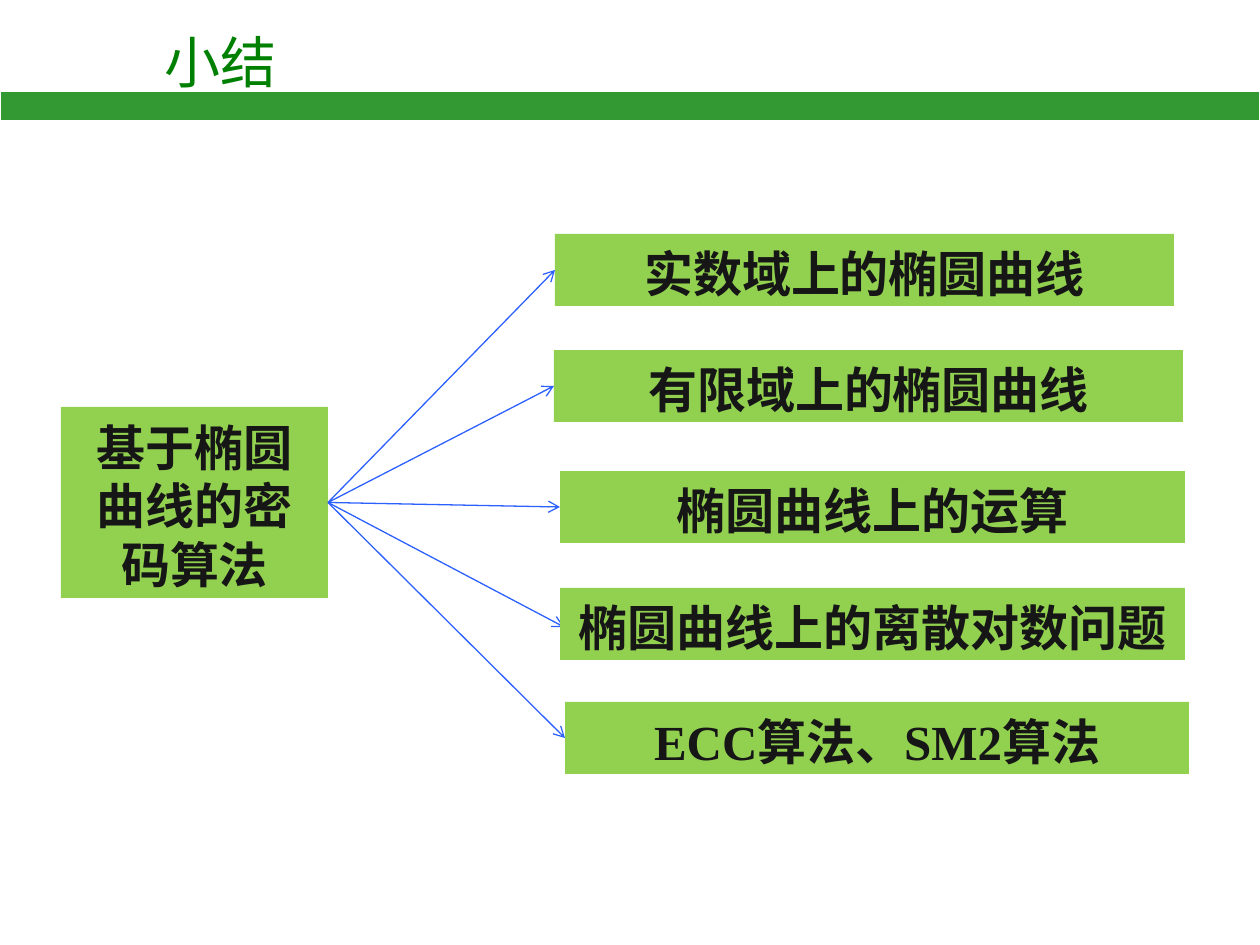
from lxml.etree import SubElement
from pptx import Presentation
from pptx.dml.color import RGBColor
from pptx.enum.shapes import MSO_CONNECTOR as Line, MSO_SHAPE as Shape
from pptx.enum.text import MSO_ANCHOR as Anchor, MSO_AUTO_SIZE as AutoSize, PP_ALIGN as Align
from pptx.oxml.ns import qn
from pptx.util import Pt

PX = 914400 / 126
CJK, LATIN = "Noto Sans CJK SC", "Times New Roman"
COLORS = {"title": "008000", "bar": "339933", "bar_edge": "FFFFFF",
          "box": "92D050", "text": "161616", "arrow": "2D61FE"}
TOPIC_HEIGHT = 72
RIGHT_SIDE, LEFT_SIDE = 3, 1


def px(*lengths):
    """Turn pixel lengths into EMU."""
    return [round(length * PX) for length in lengths]


def color(part):
    """Look up the colour of a part of the slide."""
    return RGBColor.from_string(COLORS[part])


def write(frame, text, size, part, align, latin=CJK, bold=False):
    """Put one formatted run into a text frame."""
    frame.word_wrap = True
    frame.auto_size = AutoSize.NONE
    frame.vertical_anchor = Anchor.MIDDLE
    paragraph = frame.paragraphs[0]
    paragraph.alignment = align
    run = paragraph.add_run()
    run.text = text
    run.font.size, run.font.bold, run.font.name = Pt(size), bold, latin
    run.font.color.rgb = color(part)
    SubElement(run.font._element, qn("a:ea"), typeface=CJK)
    return paragraph


def add_title(slide, text):
    """Place the slide title in its placeholder."""
    title = slide.shapes.title
    title.left, title.top, title.width, title.height = px(152, 25, 563, 72)
    write(title.text_frame, text, 32, "title", Align.LEFT)


def add_block(slide, part, *bounds):
    """Add a plain filled rectangle."""
    block = slide.shapes.add_shape(Shape.RECTANGLE, *px(*bounds))
    block.shadow.inherit = False
    block.fill.solid()
    block.fill.fore_color.rgb = color(part)
    block.line.fill.background()
    return block


def add_bar(slide):
    """Add the green rule below the title."""
    bar = add_block(slide, "bar", 0, 91, 1260, 30)
    bar.line.color.rgb = color("bar_edge")
    bar.line.width = Pt(0.75)


def add_box(slide, text, *bounds, latin=LATIN):
    """Add a labelled green box."""
    box = add_block(slide, "box", *bounds)
    frame = box.text_frame
    frame.margin_top, frame.margin_bottom = px(6, 0)
    label = write(frame, text, 28, "text", Align.CENTER, latin, True)
    label.line_spacing = Pt(33.5)
    return box


def add_arrow(slide, root, topic=None, end=(0, 0)):
    """Draw an arrow from the root box to a topic box or a free end."""
    arrow = slide.shapes.add_connector(Line.STRAIGHT, 0, 0, *px(*end))
    arrow.begin_connect(root, RIGHT_SIDE)
    if topic is not None:
        arrow.end_connect(topic, LEFT_SIDE)
    arrow.line.color.rgb = color("arrow")
    arrow.line.width = Pt(0.75)
    SubElement(arrow.line._get_or_add_ln(), qn("a:tailEnd"), type="arrow")
    SubElement(arrow._element.spPr, qn("a:effectLst"))


def main():
    """Build the summary slide."""
    deck = Presentation()
    deck.slide_width, deck.slide_height = px(1260, 945)
    slide = deck.slides.add_slide(deck.slide_layouts[5])
    add_title(slide, "小结")
    add_bar(slide)

    root = add_box(slide, "基于椭圆曲线的密码算法", 61, 407, 267, 191)
    topics = [
        add_box(slide, text, left, top, width, TOPIC_HEIGHT, latin=latin)
        for text, left, top, width, latin in (
            ("实数域上的椭圆曲线", 555, 234, 619, CJK),
            ("有限域上的椭圆曲线", 554, 350, 629, CJK),
            ("椭圆曲线上的运算", 560, 471, 625, LATIN),
            ("ECC算法、SM2算法", 565, 702, 624, LATIN),
        )
    ]
    for topic in topics:
        add_arrow(slide, root, topic)
    add_arrow(slide, root, end=(564, 627))
    add_box(slide, "椭圆曲线上的离散对数问题", 560, 588, 625, TOPIC_HEIGHT)
    deck.save("out.pptx")


if __name__ == "__main__":
    main()
